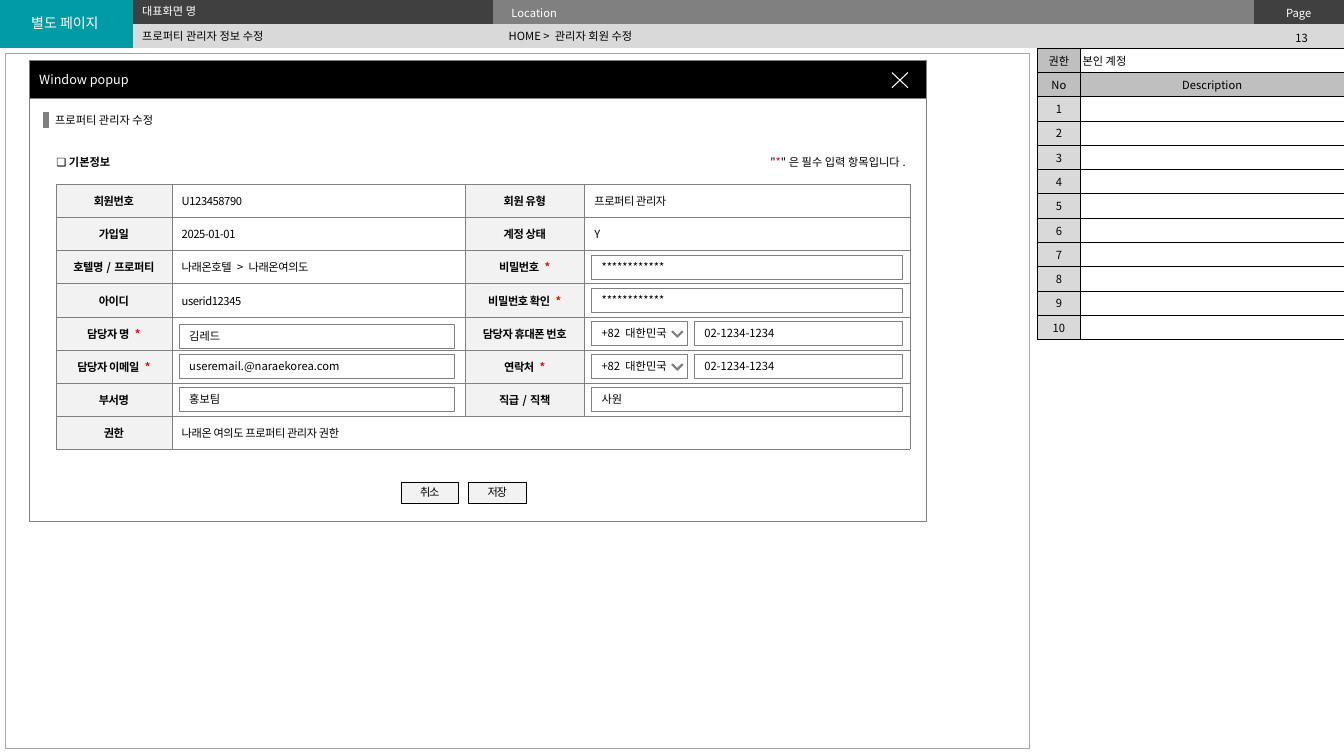
from lxml import etree
from pptx import Presentation
from pptx.dml.color import RGBColor
from pptx.enum import shapes, text
from pptx.oxml import ns
from pptx.util import Cm, Pt

FONT = "Noto Sans CJK KR"
COLORS = {
    "teal": "009CA6", "dark": "404040", "gray": "808080", "silver": "BFBFBF",
    "light": "D9D9D9", "pale": "F2F2F2", "frame": "A6A6A6", "chevron": "5F5F5F",
    "white": "FFFFFF", "black": "000000", "red": "FF0000",
}
RGB = {name: RGBColor.from_string(value) for name, value in COLORS.items()}
LEFT, CENTER, RIGHT = text.PP_ALIGN.LEFT, text.PP_ALIGN.CENTER, text.PP_ALIGN.RIGHT
MIDDLE, TOP = text.MSO_ANCHOR.MIDDLE, text.MSO_ANCHOR.TOP


def write(frame, words, color="black", align=LEFT, size=8, bold=False, spacing=0, mark=False):
    para = frame.paragraphs[0]
    para.alignment = align
    if not words:
        etree.SubElement(para._p, ns.qn("a:endParaRPr"), sz=str(size * 100))
    for part in words.partition("*") if mark else [words]:
        if part:
            span = para.add_run()
            span.text = part
            span.font.size = Pt(size)
            span.font.bold = bold
            span.font.color.rgb = RGB["red" if mark and part == "*" else color]
            span.font.name = FONT
            props = span._r.get_or_add_rPr()
            etree.SubElement(props, ns.qn("a:ea"), typeface=FONT)
            if spacing:
                props.set("spc", str(spacing))


def add_panel(x, y, w, h, fill, line, weight=0.25):
    panel = page.shapes.add_shape(shapes.MSO_SHAPE.RECTANGLE, Cm(x), Cm(y), Cm(w), Cm(h))
    panel.shadow.inherit = False
    panel.fill.solid()
    panel.fill.fore_color.rgb = RGB[fill]
    panel.line.color.rgb = RGB[line]
    panel.line.width = Pt(weight)
    panel.text_frame.word_wrap = True
    panel.text_frame.vertical_anchor = MIDDLE
    return panel


deck = Presentation()
deck.slide_width, deck.slide_height = Cm(33.87), Cm(19.05)
page = deck.slides.add_slide(deck.slide_layouts[5])

add_panel(0.13, 1.35, 25.81, 17.5, "white", "frame")
add_panel(0.74, 2.49, 22.61, 10.64, "white", "gray", 0.5)
popup_bar = add_panel(0.74, 1.52, 22.61, 0.97, "black", "gray", 0.5)
write(popup_bar.text_frame, "Window popup", "white", size=9)

close = page.shapes.build_freeform(Cm(22.88), Cm(1.83))
close.add_line_segments([(Cm(22.48), Cm(2.21))], close=False)
close.move_to(Cm(22.48), Cm(1.83))
close.add_line_segments([(Cm(22.88), Cm(2.21))], close=False)
close_icon = close.convert_to_shape()
close_icon.shadow.inherit = False
close_icon.fill.background()
close_icon.line.color.rgb = RGB["white"]
close_icon.line.width = Pt(0.75)

header_rows = [
    [("", "teal", LEFT), ("", "dark", LEFT), ("Location", "gray", LEFT), ("Page", "dark", CENTER)],
    [("", "light", LEFT)] * 4,
]
side_rows = [
    [("권한", "silver", CENTER), ("본인 계정", "white", LEFT)],
    [("No", "silver", CENTER), ("Description", "silver", CENTER)],
] + [[(str(number), "light", CENTER), ("", "white", LEFT)] for number in range(1, 11)]
fields = [
    ("회원번호", "U123458790", "회원 유형", "프로퍼티 관리자"),
    ("가입일", "2025-01-01", "계정 상태", "Y"),
    ("호텔명/프로퍼티", "나래온호텔 > 나래온여의도", "비밀번호 *", ""),
    ("아이디", "userid12345", "비밀번호 확인 *", ""),
    ("담당자 명 *", "", "담당자 휴대폰 번호", ""),
    ("담당자 이메일 *", "", "연락처 *", ""),
    ("부서명", "", "직급/직책", ""),
    ("권한", "나래온 여의도 프로퍼티 관리자 권한", "", ""),
]
form_rows = [
    [(words, "white" if col % 2 else "pale", LEFT if col % 2 else CENTER)
     for col, words in enumerate(row)] for row in fields
]
tables = [
    (0, 0, 1.21, [3.36, 9.07, 19.16, 2.28], header_rows, 0.46, 0.1, "white", None, 0, 0, (1, 0)),
    (26.14, 1.21, 7.23, [1.09, 6.64], side_rows, 0.05, 0.1, "black", "black", 0.5, 0, None),
    (1.41, 4.64, 6.68, [2.92, 7.39, 3.01, 8.2], form_rows, 0.25, 0.13, "black", "gray", 0.25, -30, (7, 3)),
]
for x, y, height, widths, rows, side, edge, color, border, weight, spacing, merge_end in tables:
    holder = page.shapes.add_table(len(rows), len(widths), Cm(x), Cm(y), Cm(sum(widths)), Cm(height))
    grid = holder.table
    grid.first_row = grid.horz_banding = False
    next(holder.element.iter(ns.qn("a:tableStyleId"))).text = "{2D5ABB26-0587-4C30-8999-92F81FD0307C}"
    for column, width in zip(grid.columns, widths):
        column.width = Cm(width)
    for r, row in enumerate(rows):
        for c, (words, fill, align) in enumerate(row):
            cell = grid.cell(r, c)
            cell.margin_left = cell.margin_right = Cm(side)
            cell.margin_top = cell.margin_bottom = Cm(edge)
            cell.vertical_anchor = MIDDLE
            cell.fill.solid()
            cell.fill.fore_color.rgb = RGB[fill]
            write(cell.text_frame, words, color, align, bold=fill == "pale", spacing=spacing, mark=True)
            if border:
                props = cell._tc.get_or_add_tcPr()
                for place, tag in enumerate(("a:lnL", "a:lnR", "a:lnT", "a:lnB")):
                    edge_line = etree.Element(ns.qn(tag), w=str(int(Pt(weight))))
                    paint = etree.SubElement(edge_line, ns.qn("a:solidFill"))
                    etree.SubElement(paint, ns.qn("a:srgbClr"), val=COLORS[border])
                    props.insert(place, edge_line)
    if merge_end:
        first = (0, 0) if merge_end[1] == 0 else (7, 1)
        grid.cell(*first).merge(grid.cell(*merge_end))

title = page.shapes.title
title.element.getparent().append(title.element)
title.left, title.top, title.width, title.height = Cm(3.33), Cm(0.62), Cm(9.22), Cm(0.56)
title.text_frame.auto_size = text.MSO_AUTO_SIZE.NONE
title.text_frame.vertical_anchor = MIDDLE
write(title.text_frame, "프로퍼티 관리자 정보 수정")

labels = [
    ("13", 31.7, 0.66, 2.21, 0.61, TOP, dict(align=CENTER)),
    ("별도 페이지", 0.2, 0.23, 2.87, 0.69, TOP, dict(align=CENTER, size=10, color="white")),
    ("HOME > 관리자 회원 수정", 12.57, 0.62, 9.22, 0.56, MIDDLE, {}),
    ("대표화면 명", 3.33, 0, 9.19, 0.56, MIDDLE, dict(color="white")),
    ("프로퍼티 관리자 수정", 1.14, 2.74, 6.12, 0.61, TOP, {}),
    ("❏ 기본정보", 1.17, 3.78, 2.5, 0.61, TOP, dict(bold=True)),
    ('"*"은 필수 입력 항목입니다. ', 18.87, 3.78, 4.27, 0.61, TOP, dict(align=RIGHT, mark=True)),
]
for words, x, y, w, h, anchor, style in labels:
    box = page.shapes.add_textbox(Cm(x), Cm(y), Cm(w), Cm(h))
    box.text_frame.word_wrap = True
    box.text_frame.vertical_anchor = anchor
    write(box.text_frame, words, **style)

bar = page.shapes.add_connector(shapes.MSO_CONNECTOR.STRAIGHT, Cm(1.16), Cm(2.82), Cm(1.16), Cm(3.23))
bar.line.color.rgb = RGB["gray"]
bar.line.width = Pt(4.5)
etree.SubElement(bar.element.spPr, ns.qn("a:effectLst"))

INPUT_TOP, INPUT_STEP = 6.43, 0.83
inputs = [
    ("************", 14.91, 0, 7.82),
    ("************", 14.91, 1, 7.82),
    ("김레드", 4.52, 2.1, 6.93),
    ("useremail.@naraekorea.com", 4.52, 3, 6.93),
    ("홍보팀", 4.52, 4, 6.93),
    ("사원", 14.91, 4, 7.82),
]
for row in (2, 3):
    inputs += [("+82 대한민국", 14.91, row, 2.41), ("02-1234-1234", 17.5, row, 5.23)]
for words, x, row, w in inputs:
    field = add_panel(x, INPUT_TOP + row * INPUT_STEP, w, 0.61, "white", "gray")
    write(field.text_frame, words)

for row in (2, 3):
    tip_y = INPUT_TOP + row * INPUT_STEP + 0.25
    outline = [(0.14, 0.02), (0.12, 0), (0, 0.12), (-0.12, 0), (-0.14, 0.02), (0, 0.16)]
    points = [(Cm(17.07 + dx), Cm(tip_y + dy)) for dx, dy in outline]
    builder = page.shapes.build_freeform(*points[0])
    builder.add_line_segments(points[1:], close=True)
    chevron = builder.convert_to_shape()
    chevron.shadow.inherit = False
    chevron.fill.solid()
    chevron.fill.fore_color.rgb = RGB["chevron"]
    chevron.line.color.rgb = RGB["gray"]
    chevron.line.width = Pt(0.75)

for words, x in (("취소", 10.11), ("저장", 11.81)):
    button = add_panel(x, 12.14, 1.45, 0.53, "pale", "black")
    frame = button.text_frame
    frame.margin_left = frame.margin_right = frame.margin_top = frame.margin_bottom = Cm(0)
    write(frame, words, align=CENTER, spacing=-90)

deck.save("out.pptx")
